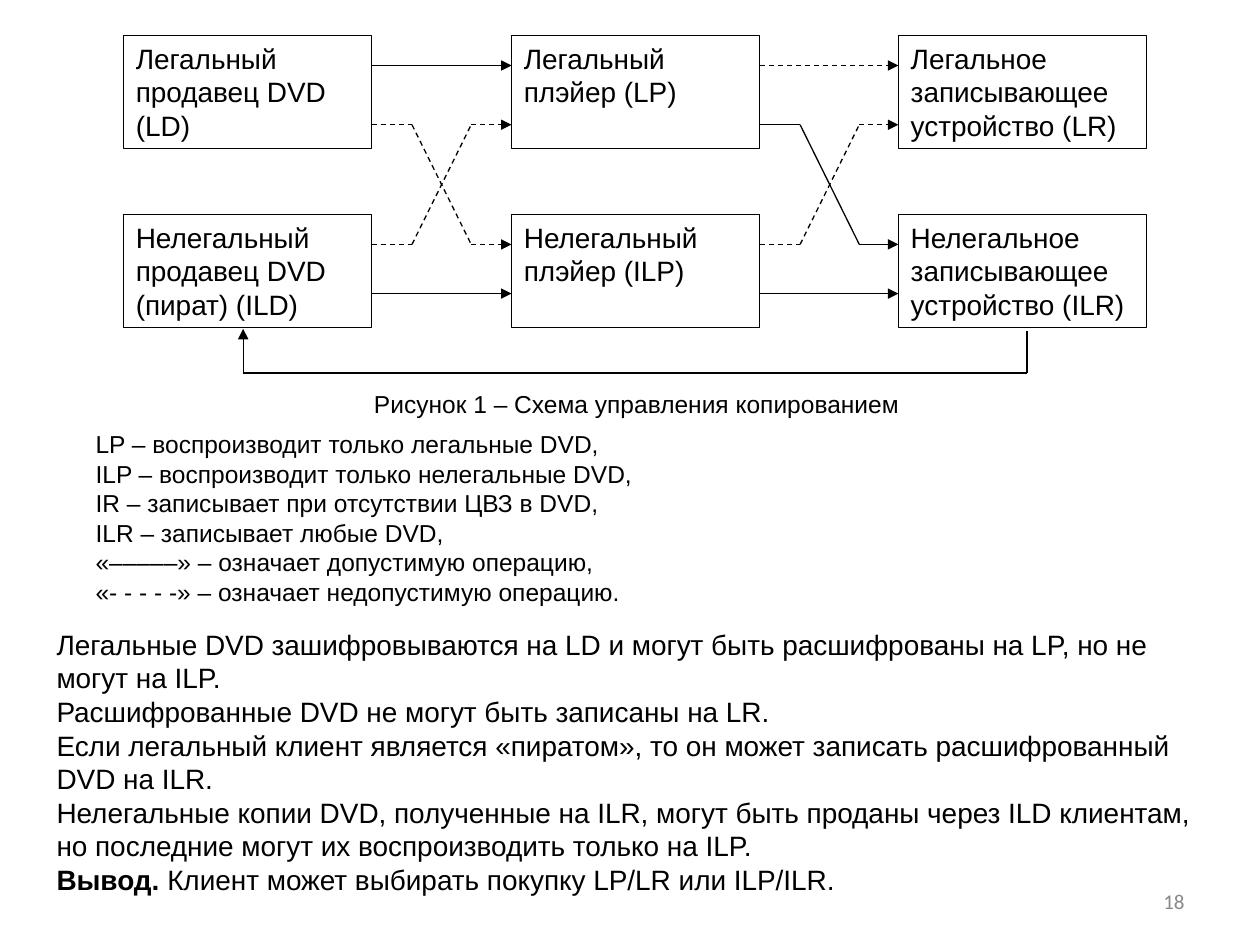
from itertools import pairwise

from lxml import etree
from pptx import Presentation
from pptx.dml.color import RGBColor
from pptx.enum import dml, shapes, text
from pptx.oxml import ns
from pptx.util import Inches, Pt

BLACK, GREY = "000000", "898989"
BOX_WIDTH, BOX_HEIGHT = 1.97, 0.9
COLUMNS, ROWS = (0.98, 4.06, 7.13), (0.28, 1.7)
BOXES = [
    ("Легальный продавец DVD (LD)", "Нелегальный продавец DVD (пират) (ILD)"),
    ("Легальный плэйер (LP)", "Нелегальный плэйер (ILP)"),
    ("Легальное записывающее устройство (LR)", "Нелегальное записывающее устройство (ILR)"),
]
TOP, UPPER, LOWER, BOTTOM = 0.52, 0.99, 1.94, 2.33
BENDS = (0.32, 0.79)
# gap index, start height, end height, dashed
ROUTES = [
    (0, TOP, TOP, False), (0, BOTTOM, BOTTOM, False),
    (1, TOP, TOP, True), (1, BOTTOM, BOTTOM, False),
    (0, UPPER, LOWER, True), (0, LOWER, UPPER, True),
    (1, UPPER, LOWER, False), (1, LOWER, UPPER, True),
]
RETURN_ROUTE = [(8.15, 2.63), (8.15, 2.96), (1.93, 2.96), (1.93, 2.61)]
CAPTION = ["Рисунок 1 – Схема управления копированием"]
LEGEND = [
    "LP – воспроизводит только легальные DVD,",
    "ILP – воспроизводит только нелегальные DVD,",
    "IR – записывает при отсутствии ЦВЗ в DVD,",
    "ILR – записывает любые DVD,",
    "«–––––» – означает допустимую операцию,",
    "«- - - - -» – означает недопустимую операцию.",
]
CONCLUSIONS = [
    "Легальные DVD зашифровываются на LD и могут быть расшифрованы на LP, но не могут на ILP.",
    "Расшифрованные DVD не могут быть записаны на LR.",
    "Если легальный клиент является «пиратом», то он может записать расшифрованный DVD на ILR.",
    "Нелегальные копии DVD, полученные на ILR, могут быть проданы через ILD клиентам, "
    "но последние могут их воспроизводить только на ILP.",
    [("Вывод. ", True), ("Клиент может выбирать покупку LP/LR или ILP/ILR.", False)],
]


def color(value):
    return RGBColor.from_string(value)


def write(shape, paragraphs, size=16, font="Arial", fill=BLACK, wrap=True,
          align=text.PP_ALIGN.LEFT, anchor=text.MSO_ANCHOR.TOP):
    frame = shape.text_frame
    frame.word_wrap = wrap
    frame.vertical_anchor = anchor
    for index, content in enumerate(paragraphs):
        paragraph = frame.add_paragraph() if index else frame.paragraphs[0]
        paragraph.alignment = align
        for words, bold in [(content, False)] if isinstance(content, str) else content:
            run = paragraph.add_run()
            run.text = words
            run.font.size, run.font.name, run.font.bold = Pt(size), font, bold
            run.font.color.rgb = color(fill)


def add_text(slide, place, paragraphs, **style):
    write(slide.shapes.add_textbox(*map(Inches, place)), paragraphs, **style)


def add_box(slide, left, top, label):
    box = slide.shapes.add_shape(
        shapes.MSO_SHAPE.RECTANGLE, *map(Inches, (left, top, BOX_WIDTH, BOX_HEIGHT)))
    box.shadow.inherit = False
    box.fill.background()
    box.line.color.rgb = color(BLACK)
    box.line.width = Pt(0.75)
    write(box, [label])


def add_route(slide, points, dashed=False):
    for start, end in pairwise(points):
        connector = slide.shapes.add_connector(
            shapes.MSO_CONNECTOR.STRAIGHT, *map(Inches, (*start, *end)))
        connector.line.color.rgb = color(BLACK)
        connector.line.width = Pt(0.75)
        if dashed:
            connector.line.dash_style = dml.MSO_LINE.DASH
        properties = connector._element.spPr
        etree.SubElement(properties, ns.qn("a:effectLst"))
        if end == points[-1]:
            line = properties.find(ns.qn("a:ln"))
            etree.SubElement(line, ns.qn("a:tailEnd"), type="triangle")


def main():
    """Build the copy-control scheme slide."""
    presentation = Presentation()
    presentation.slide_width, presentation.slide_height = Inches(10), Inches(7.5)
    slide = presentation.slides.add_slide(presentation.slide_layouts[6])

    for left, labels in zip(COLUMNS, BOXES):
        for top, label in zip(ROWS, labels):
            add_box(slide, left, top, label)
    for gap, start, end, dashed in ROUTES:
        left, right = COLUMNS[gap] + BOX_WIDTH, COLUMNS[gap + 1]
        bends = [] if start == end else [(left + BENDS[0], start), (left + BENDS[1], end)]
        add_route(slide, [(left, start), *bends, (right, end)], dashed)
    add_route(slide, RETURN_ROUTE)

    add_text(slide, (2.87, 3.04, 4.37, 0.34), CAPTION, size=14, wrap=False)
    add_text(slide, (0.66, 3.36, 4.49, 1.5), LEGEND, size=14, wrap=False)
    add_text(slide, (0.35, 4.93, 9.21, 2.24), CONCLUSIONS)
    add_text(slide, (7.17, 6.95, 2.33, 0.4), ["18"], size=12, font="Calibri", fill=GREY,
             align=text.PP_ALIGN.RIGHT, anchor=text.MSO_ANCHOR.MIDDLE)
    presentation.save("out.pptx")


if __name__ == "__main__":
    main()
